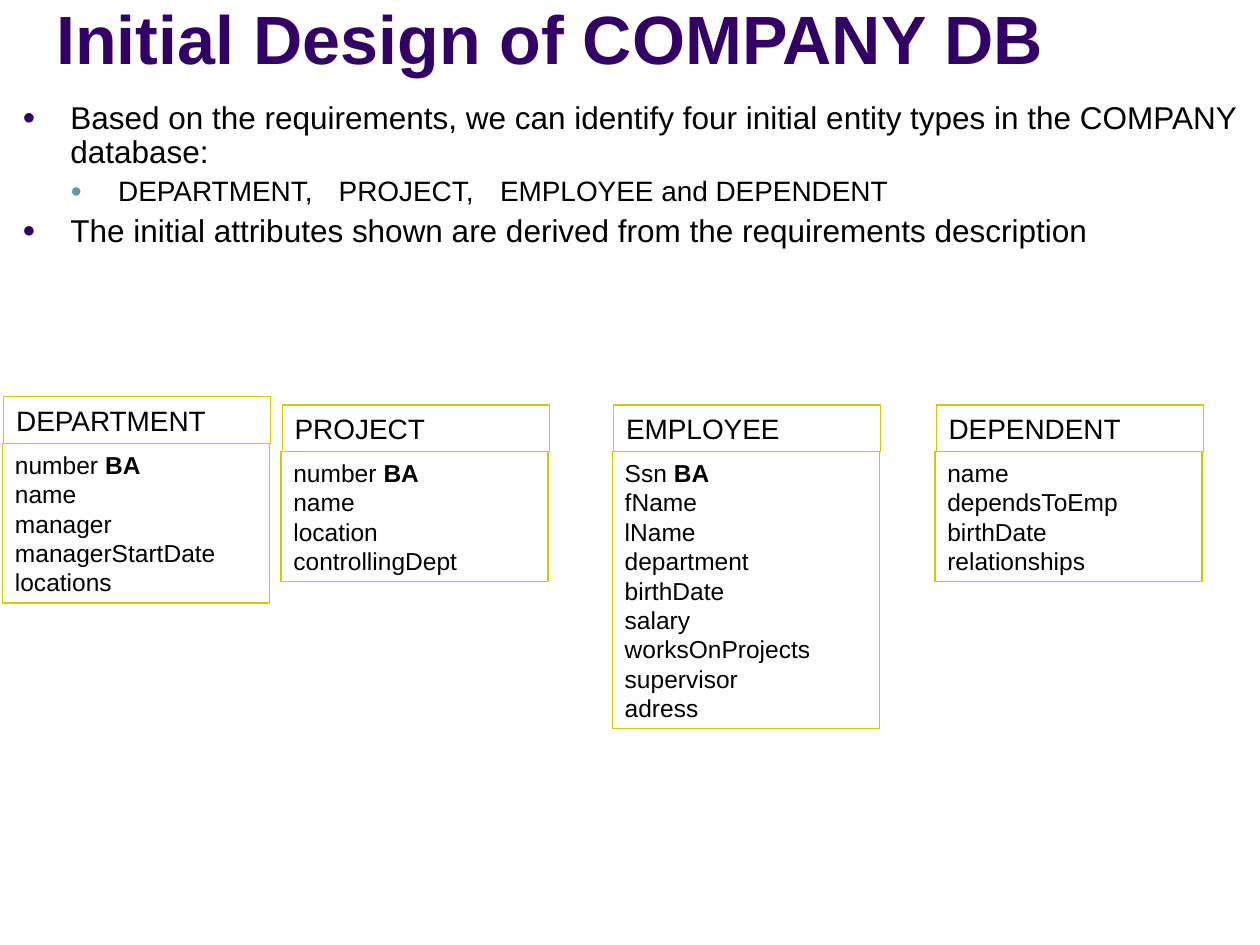
from lxml.etree import SubElement as Sub
from pptx import Presentation
from pptx.dml.color import RGBColor
from pptx.enum.shapes import MSO_SHAPE as Kind
from pptx.enum.text import MSO_ANCHOR as Anchor, MSO_AUTO_SIZE as Auto, PP_ALIGN as Align
from pptx.oxml.ns import qn
from pptx.util import Inches, Pt

WIDE, HIGH = Inches(10), Inches(7.5)
COL, ROW = WIDE / 100, HIGH / 75
BLACK, PLUM, TEAL, OLIVE = "000000", "330066", "669999", "CCCC00"

POINTS = [
    (0, "Based on the requirements, we can identify four initial entity types in the COMPANY database:"),
    (1, "DEPARTMENT,\tPROJECT,\tEMPLOYEE and DEPENDENT"),
    (0, "The initial attributes shown are derived from the requirements description"),
]
LEVELS = [(18, PLUM, 4.5), (16, TEAL, 4)]
STOPS = [2.51, 3.79]

ENTITIES = [
    (0.2, 31.5, "DEPARTMENT", "number", ["name", "manager", "managerStartDate", "locations"]),
    (22.3, 32.15, "PROJECT", "number", ["name", "location", "controllingDept"]),
    (48.6, 32.15, "EMPLOYEE", "Ssn", ["fName", "lName", "department", "birthDate", "salary",
                                      "worksOnProjects", "supervisor", "adress"]),
    (74.2, 32.15, "DEPENDENT", "", ["name", "dependsToEmp", "birthDate", "relationships"]),
]


def paint(code):
    return RGBColor.from_string(code)


def grid(x, y, w, h):
    return [int(n) for n in (x * COL, y * ROW, w * COL, h * ROW)]


def write(para, text, size=14, color=BLACK, bold=False):
    run = para.add_run()
    run.text = text
    run.font.name = "Arial"
    run.font.size = Pt(size)
    run.font.bold = bold
    run.font.color.rgb = paint(color)


def lines(frame, count):
    return [frame.paragraphs[0]] + [frame.add_paragraph() for _ in range(count - 1)]


def bullet(para, level, color):
    props = para._p.get_or_add_pPr()
    props.set("marL", str(Inches(0.38 * (level + 1))))
    props.set("indent", str(-Inches(0.38)))
    Sub(Sub(props, qn("a:buClr")), qn("a:srgbClr"), val=color)
    Sub(props, qn("a:buSzPct"), val="70000")
    Sub(props, qn("a:buFont"), typeface="Arial")
    Sub(props, qn("a:buChar"), char="●")
    if level:
        tabs = Sub(props, qn("a:tabLst"))
        for stop in STOPS:
            Sub(tabs, qn("a:tab"), pos=str(Inches(stop)), algn="l")


def title(slide, box):
    frame = slide.shapes.add_textbox(*grid(*box)).text_frame
    frame.word_wrap = True
    frame.vertical_anchor = Anchor.BOTTOM
    para = frame.paragraphs[0]
    para.alignment = Align.CENTER
    write(para, "Initial Design of COMPANY DB", size=39, color=PLUM, bold=True)


def body(slide, box):
    frame = slide.shapes.add_textbox(*grid(*box)).text_frame
    frame.word_wrap = True
    for i, (para, (level, text)) in enumerate(zip(lines(frame, len(POINTS)), POINTS)):
        size, color, gap = LEVELS[level]
        para.level = level
        bullet(para, level, color)
        para.line_spacing = 0.9
        if i:
            para.space_before = Pt(gap)
        write(para, text, size=size)


def panel(group, box):
    shape = group.shapes.add_shape(Kind.RECTANGLE, *grid(*box))
    shape.shadow.inherit = False
    shape.fill.background()
    shape.line.color.rgb = paint(OLIVE)
    shape.line.width = Pt(0.75)
    frame = shape.text_frame
    frame.word_wrap = True
    frame.auto_size = Auto.SHAPE_TO_FIT_TEXT
    frame.vertical_anchor = Anchor.TOP
    return frame


def entity(slide, box, name, key, fields):
    x, y, w, head = box
    group = slide.shapes.add_group_shape()
    top = panel(group, (x + 0.1, y, w, head)).paragraphs[0]
    top.alignment = Align.LEFT
    write(top, name, size=16)
    names = [key] * bool(key) + fields
    frame = panel(group, (x, y + head, w, 1 + 2.33 * len(names)))
    for para, text in zip(lines(frame, len(names)), names):
        para.alignment = Align.LEFT
        if text == key:
            write(para, key + " ")
            write(para, "BA", bold=True)
        else:
            write(para, text)


def main():
    deck = Presentation()
    deck.slide_width, deck.slide_height = WIDE, HIGH
    slide = deck.slides.add_slide(deck.slide_layouts[6])
    title(slide, (2.4, 1.3, 82.5, 5.4))
    body(slide, (0.8, 7.6, 102.8, 13))
    for x, y, name, key, fields in ENTITIES:
        entity(slide, (x, y, 21.2, 3.7), name, key, fields)
    deck.save("out.pptx")


if __name__ == "__main__":
    main()
